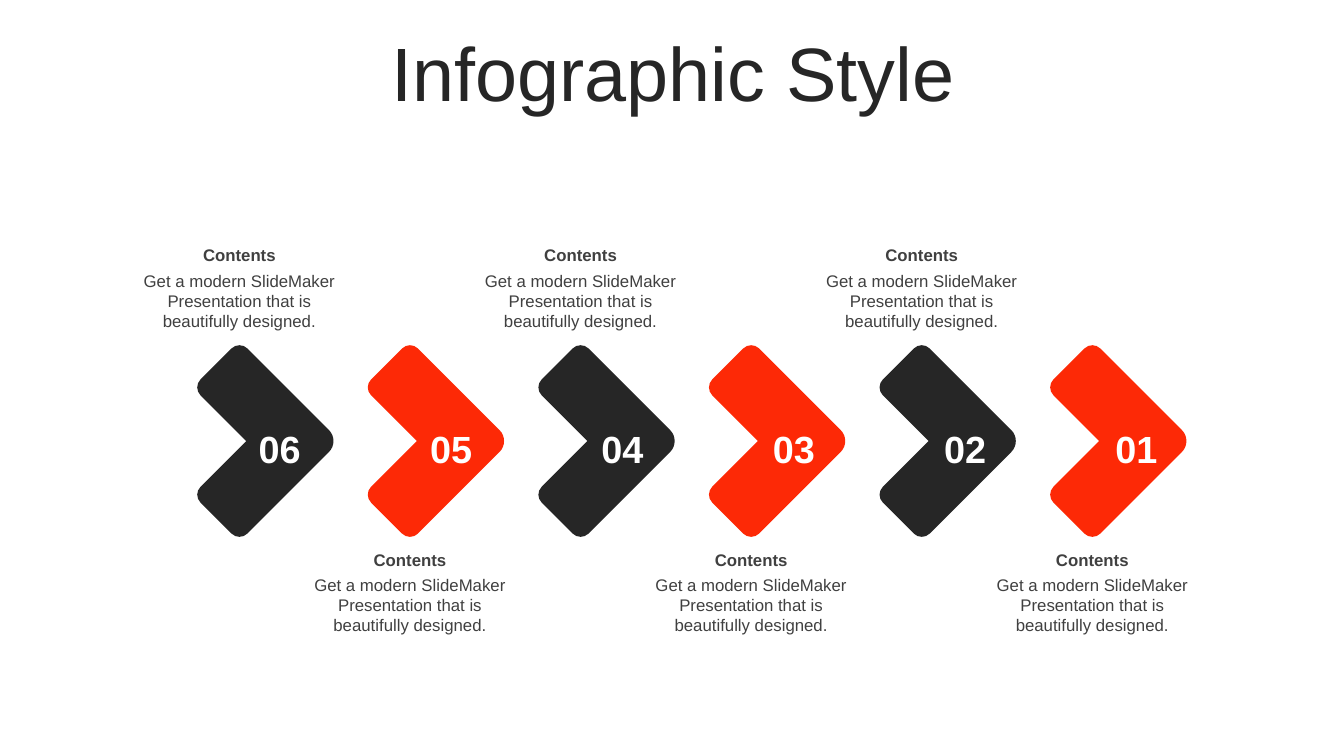
"""Build a slide with six numbered chevrons and alternating captions."""
from dataclasses import dataclass

from pptx import Presentation
from pptx import util as u
from pptx.dml.color import RGBColor
from pptx.enum import text
from pptx.oxml import ns
from pptx.shapes import shapetree
from pptx.text.text import TextFrame
from lxml import etree

DARK = RGBColor(0x26, 0x26, 0x26)
RED = RGBColor(0xFD, 0x29, 0x06)
GRAY = RGBColor(0x40, 0x40, 0x40)
WHITE = RGBColor(0xFF, 0xFF, 0xFF)

FONT = "Arial"
CAPTION = "Get a modern SlideMaker Presentation that is beautifully designed."
STEP_COUNT = 6
CHEVRON_LEFT, CHEVRON_TOP, CHEVRON_PITCH = 120.25, 264.25, 121.85
SIDE, ARM = 101.5, 47.3
INNER = SIDE - ARM
NUMBER_LEFT, NUMBER_PITCH = 176.4, 122.4
CAPTION_LEFT, CAPTION_ABOVE, CAPTION_BELOW = 91.5, 175, 392.4
CURVE = 0.45


@dataclass(frozen=True)
class Corner:
    """A rounded corner, with its radius and the directions in and out."""
    x: float
    y: float
    radius: float
    arrive: tuple[int, int]
    leave: tuple[int, int]

    def curve(self) -> list[tuple[float, float]]:
        """Return start, two control points and end of the rounding."""
        before = [(self.x - self.arrive[0] * d, self.y - self.arrive[1] * d)
                  for d in (self.radius, self.radius * CURVE)]
        after = [(self.x + self.leave[0] * d, self.y + self.leave[1] * d)
                 for d in (self.radius * CURVE, self.radius)]
        return before + after


@dataclass(frozen=True)
class Step:
    """One chevron with its number and caption."""
    index: int

    @property
    def number(self) -> str:
        """Return the two-digit label, counting down from the left."""
        return f"{STEP_COUNT - self.index:02d}"

    @property
    def color(self) -> RGBColor:
        """Return the chevron colour."""
        return RED if self.index % 2 else DARK

    @property
    def caption_top(self) -> float:
        """Return the top of the caption heading."""
        return CAPTION_BELOW if self.index % 2 else CAPTION_ABOVE


@dataclass(frozen=True)
class Style:
    """Size, colour and weight of a label."""
    size: float
    color: RGBColor
    bold: bool = False


TITLE = Style(54, DARK)
HEADING = Style(12, GRAY, True)
BODY = Style(12, GRAY)
NUMBER = Style(27, WHITE, True)

RIGHT, DOWN, LEFT, UP = (1, 0), (0, 1), (-1, 0), (0, -1)
CORNERS = [
    Corner(INNER, 0, 8, UP, RIGHT),
    Corner(SIDE, 0, 8, RIGHT, DOWN),
    Corner(SIDE, SIDE, 11, DOWN, LEFT),
    Corner(0, SIDE, 8, LEFT, UP),
    Corner(0, INNER, 8, UP, RIGHT),
]


def add_label(shapes: shapetree._BaseGroupShapes, words: str, left: float,
              top: float, width: float, height: float,
              style: Style) -> TextFrame:
    """Add a centred text box without insets and return its text frame."""
    shape = shapes.add_textbox(
        u.Pt(left), u.Pt(top), u.Pt(width), u.Pt(height))
    frame = shape.text_frame
    frame.word_wrap = True
    frame.margin_left = frame.margin_right = u.Pt(0)
    frame.margin_top = frame.margin_bottom = u.Pt(0)
    frame.text = words
    paragraph = frame.paragraphs[0]
    paragraph.alignment = text.PP_ALIGN.CENTER
    for run in paragraph.runs:
        run.font.name = FONT
        run.font.size = u.Pt(style.size)
        run.font.bold = style.bold
        run.font.color.rgb = style.color
    return frame


def round_corners(outline: etree._Element) -> None:
    """Turn the three lines at each corner into one curve."""
    lines = outline.findall(ns.qn("a:lnTo"))
    for index in range(len(CORNERS)):
        first, *others = lines[4 * index:4 * index + 3]
        curve = etree.SubElement(outline, ns.qn("a:cubicBezTo"))
        outline.replace(first, curve)
        curve.append(first[0])
        for line in others:
            curve.append(line[0])
            outline.remove(line)


def add_chevron(shapes: shapetree.SlideShapes, step: Step) -> None:
    """Draw the rounded chevron of a step as an angle turned to the right."""
    left = CHEVRON_LEFT + step.index * CHEVRON_PITCH
    outline = [point for corner in CORNERS for point in corner.curve()]
    outline.append((INNER, INNER))
    points = [(u.Pt(left + x), u.Pt(CHEVRON_TOP + y)) for x, y in outline]
    builder = shapes.build_freeform(*points[0])
    builder.add_line_segments(points[1:], close=True)
    shape = builder.convert_to_shape()
    round_corners(shape.element.find(".//" + ns.qn("a:path")))
    shape.rotation = 315
    shape.shadow.inherit = False
    shape.fill.solid()
    shape.fill.fore_color.rgb = step.color
    shape.line.fill.background()


def add_caption(shapes: shapetree.SlideShapes, step: Step) -> None:
    """Draw the heading and text of a step as one group."""
    left = CAPTION_LEFT + step.index * CHEVRON_PITCH
    group = shapes.add_group_shape().shapes
    add_label(group, CAPTION, left, step.caption_top + 18.2, 159, 44, BODY)
    add_label(group, "Contents", left, step.caption_top, 159, 14.4, HEADING)


def add_number(shapes: shapetree.SlideShapes, step: Step) -> None:
    """Draw the number of a step."""
    left = NUMBER_LEFT + step.index * NUMBER_PITCH
    add_label(shapes, step.number, left, 303.8, 46.8, 32.4, NUMBER)


def main() -> None:
    """Create and save the presentation."""
    presentation = Presentation()
    presentation.slide_width = u.Pt(960)
    presentation.slide_height = u.Pt(540)
    slide = presentation.slides.add_slide(presentation.slide_layouts[6])
    title = add_label(slide.shapes, "Infographic Style",
                      25.2, 26.6, 911.5, 56.9, TITLE)
    title.vertical_anchor = text.MSO_ANCHOR.MIDDLE
    title.paragraphs[0].line_spacing = 0.9
    steps = [Step(index) for index in range(STEP_COUNT)]
    for draw in (add_chevron, add_caption, add_number):
        for step in steps:
            draw(slide.shapes, step)
    presentation.save("out.pptx")


if __name__ == "__main__":
    main()
